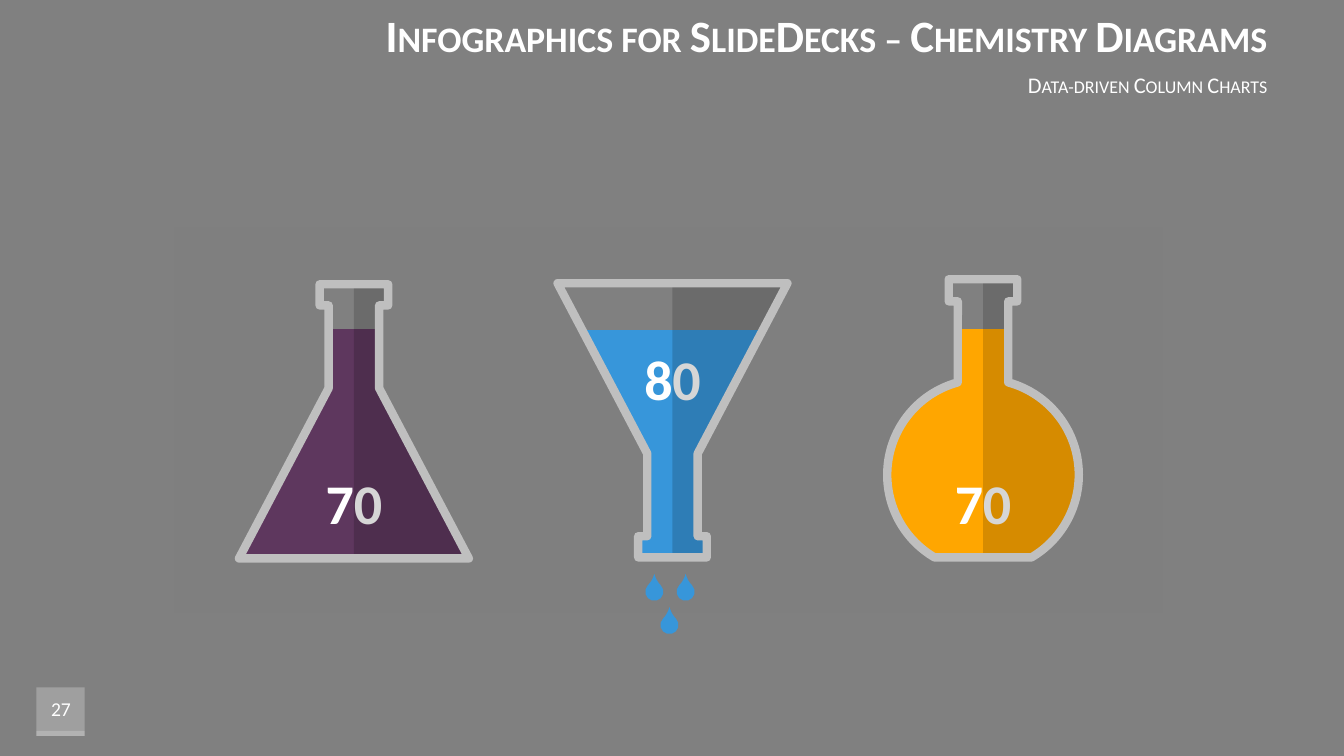
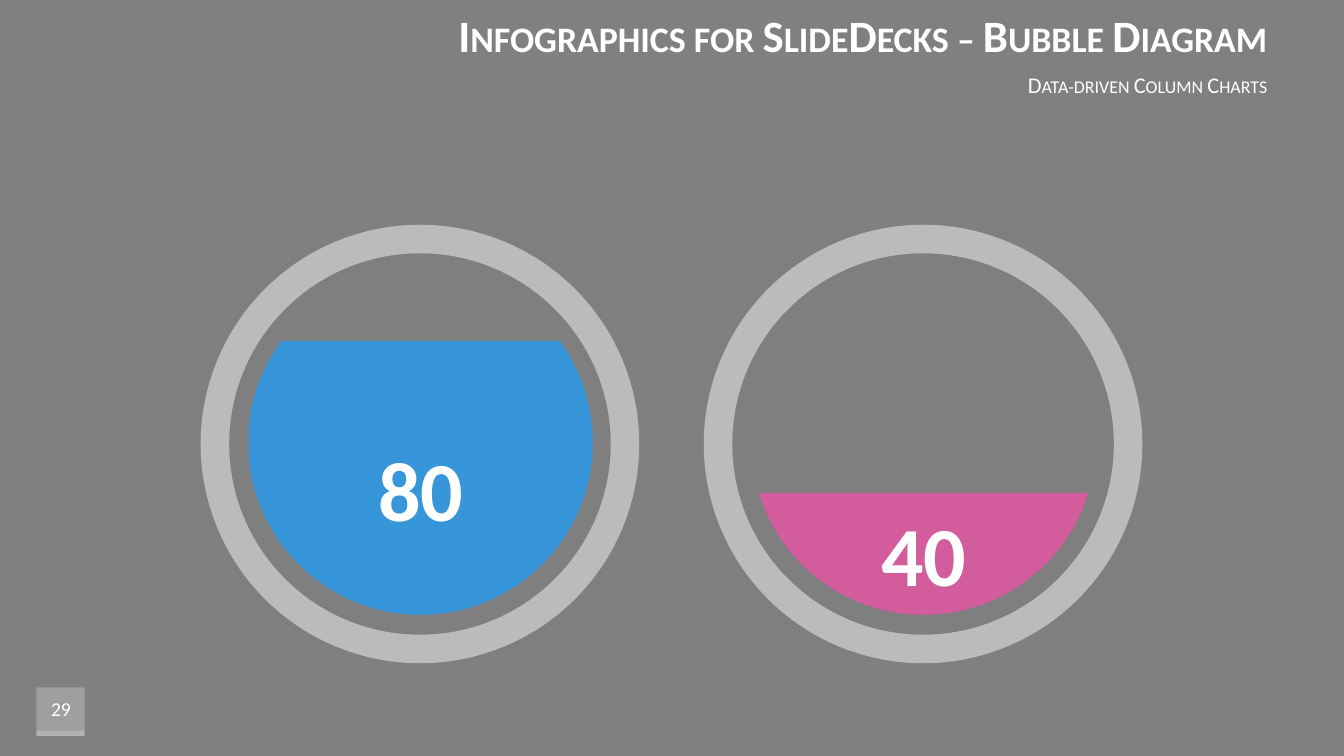
import math

import lxml.etree
import pptx
import pptx.chart.data
import pptx.dml.color
import pptx.enum.chart
import pptx.enum.shapes
import pptx.enum.text
import pptx.oxml.ns
import pptx.util

Inches = pptx.util.Inches
Pt = pptx.util.Pt
RGBColor = pptx.dml.color.RGBColor
Kind = pptx.enum.chart.XL_CHART_TYPE
Shape = pptx.enum.shapes.MSO_SHAPE
Align = pptx.enum.text.PP_ALIGN
qn = pptx.oxml.ns.qn

GREY = RGBColor(0x80, 0x80, 0x80)
MASK = RGBColor(0x7F, 0x7F, 0x7F)
GLASS = RGBColor(0xBF, 0xBF, 0xBF)
RING = RGBColor(0xBB, 0xBB, 0xBB)
WHITE = RGBColor(0xFF, 0xFF, 0xFF)
BLACK = RGBColor(0, 0, 0)
PLUM = RGBColor(0x5E, 0x37, 0x5E)
BLUE = RGBColor(0x37, 0x96, 0xDA)
AMBER = RGBColor(0xFF, 0xA6, 0x00)
PINK = RGBColor(0xD2, 0x5C, 0x9C)
FONT = "Calibri"


def box(left, top, width, height):
    return [Inches(v) for v in (left, top, width, height)]


def rect(left, top, width, height):
    right, low = left + width, top + height
    return [(left, top), (right, top), (right, low), (left, low)]


def arc(radius, mid, *turns):
    def spot(turn, reach):
        x = math.sin(turn) + reach * math.cos(turn)
        y = math.cos(turn) - reach * math.sin(turn)
        return radius * x, mid - radius * y

    turns = [math.radians(turn) for turn in turns]
    steps = [spot(turns[0], 0)]
    for start, end in zip(turns, turns[1:]):
        reach = 4 / 3 * math.tan((end - start) / 4)
        steps.append(spot(start, reach) + spot(end, -reach) + spot(end, 0))
    return steps


def place(mid, side, sign=1):
    return [tuple(v if i % 2 else mid + sign * v for i, v in enumerate(step))
            for step in side]


def flip(side):
    steps = [side[-1][-2:]]
    for step, prior in zip(side[::-1], side[-2::-1]):
        bend = step[:-2]
        steps.append(bend[2:] + bend[:2] + prior[-2:])
    return steps


class Deck:
    def __init__(self):
        self.prs = pptx.Presentation()
        self.prs.slide_width = Inches(13.33)
        self.prs.slide_height = Inches(7.5)
        back = self.prs.slide_master.background.fill
        back.solid()
        back.fore_color.rgb = GREY
        self.slide = None

    def page(self, title, number):
        self.slide = self.prs.slides.add_slide(self.prs.slide_layouts[0])
        for top, height, alpha in ((6.82, 0.48, 25), (7.25, 0.05, 20)):
            self.shape(Shape.RECTANGLE, box(0.36, top, 0.48, height), WHITE, alpha)
        head, sub = self.slide.placeholders
        self.text(head, box(2.26, 0, 10.41, 0.68), title, 32, Align.RIGHT, True, "small")
        self.text(sub, box(2.26, 0.68, 10.41, 0.31), "Data-driven Column Charts", 16,
                  Align.RIGHT, False, "small")
        spot = box(0.29, 6.82, 0.63, 0.43)
        self.text(self.slide.shapes.add_textbox(*spot), spot, str(number), 14, Align.CENTER)

    def text(self, item, spot, words, size, align, bold=False, caps="none"):
        item.left, item.top, item.width, item.height = spot
        frame = item.text_frame
        frame.text = words
        frame.word_wrap = True
        frame.auto_size = pptx.enum.text.MSO_AUTO_SIZE.NONE
        frame.vertical_anchor = pptx.enum.text.MSO_ANCHOR.MIDDLE
        line = frame.paragraphs[0]
        line.alignment = align
        line.space_before = Pt(0)
        run = line.runs[0]
        self.font(run.font, size, WHITE, bold)
        run.font._element.set("cap", caps)

    def font(self, font, size, color, bold=False):
        font.name = FONT
        font.size = Pt(size)
        font.bold = bold
        font.color.rgb = color

    def paint(self, item, fill=None, alpha=100, line=None):
        item.shadow.inherit = False
        if fill is None:
            item.fill.background()
        else:
            item.fill.solid()
            item.fill.fore_color.rgb = fill
            if alpha < 100:
                color = item._element.spPr.find(".//" + qn("a:srgbClr"))
                lxml.etree.SubElement(color, qn("a:alpha"), val=str(alpha * 1000))
        if line is None:
            item.line.fill.background()
        else:
            item.line.color.rgb = line
            item.line.width = Pt(6)
            lxml.etree.SubElement(item._element.spPr.find(qn("a:ln")), qn("a:round"))

    def shape(self, kind, spot, fill, alpha=100):
        item = self.slide.shapes.add_shape(kind, *spot)
        self.paint(item, fill, alpha)
        return item

    def form(self, loops, **style):
        loops = [[[Inches(v) for v in step] for step in loop] for loop in loops]
        pen = self.slide.shapes.build_freeform(*loops[0][0])
        for loop in loops:
            if loop is not loops[0]:
                pen.move_to(*loop[0])
            pen.add_line_segments([step[-2:] for step in loop[1:]])
        item = pen.convert_to_shape()
        self.bend(item, [step for loop in loops for step in loop[1:]])
        self.paint(item, **style)

    def bend(self, item, steps):
        lines = list(item._element.iter(qn("a:lnTo")))
        for line, step in zip(lines, steps):
            if len(step) == 6:
                curve = lxml.etree.Element(qn("a:cubicBezTo"))
                for x, y in zip(step[::2], step[1::2]):
                    lxml.etree.SubElement(curve, qn("a:pt"), x=str(x - item.left),
                                          y=str(y - item.top))
                line.getparent().replace(line, curve)

    def chart(self, kind, spot, value, color, size, shift):
        data = pptx.chart.data.CategoryChartData()
        data.categories = ["1"]
        data.add_series("Series 1", [value])
        data.add_series("Series 2", [100 - value])
        chart = self.slide.shapes.add_chart(kind, *spot, data).chart
        chart.has_legend = False
        chart.has_title = False
        self.font(chart.font, 10, BLACK)
        chart.category_axis.visible = False
        axis = chart.value_axis
        axis.visible = False
        axis.has_major_gridlines = False
        axis.minimum_scale = 0
        if kind == Kind.COLUMN_STACKED:
            axis.maximum_scale = 100
        plot = chart.plots[0]
        plot.gap_width = 150
        plot.overlap = 100
        plot.vary_by_categories = False
        full, rest = plot.series
        full.invert_if_negative = False
        full.format.fill.solid()
        full.format.fill.fore_color.rgb = color
        rest.format.fill.background()
        labels = full.data_labels
        labels.show_value = True
        self.font(labels.font, size, WHITE, True)
        if shift:
            self.font(full.points[0].data_label.font, size, WHITE, True)
            self.shift(full, shift)
        self.clear(chart)

    def shift(self, series, amount):
        for leader in series._element.iter(qn("c:showLeaderLines")):
            leader.set("val", "0")
        mark = series._element.find(".//" + qn("c:dLbl"))
        layout = lxml.etree.Element(qn("c:layout"))
        manual = lxml.etree.SubElement(layout, qn("c:manualLayout"))
        for axis, value in (("x", 0), ("y", amount)):
            lxml.etree.SubElement(manual, qn("c:" + axis), val=str(value))
        mark.find(qn("c:idx")).addnext(layout)

    def clear(self, chart):
        body = chart._chartSpace.find(qn("c:chart"))
        for add in (body.addnext, body.find(qn("c:plotArea")).append):
            props = lxml.etree.Element(qn("c:spPr"))
            lxml.etree.SubElement(props, qn("a:noFill"))
            line = lxml.etree.SubElement(props, qn("a:ln"))
            lxml.etree.SubElement(line, qn("a:noFill"))
            add(props)

    def vessel(self, mid, side, value, color, top, height, shift):
        self.chart(Kind.COLUMN_STACKED_100, box(mid - 3.14, top, 6.28, height),
                   value, color, 40, shift)
        right = place(mid, side)
        whole = right + place(mid, flip(side), -1)
        self.form([whole, rect(mid - 1.78, 2.26, 3.56, 3.82)], fill=MASK)
        self.form([[(mid, side[0][-1])] + right + [(mid, side[-1][-1])]],
                  fill=BLACK, alpha=16)
        self.form([whole], line=GLASS)

    def drop(self, mid, top):
        item = self.shape(Shape.TEAR, box(mid - 0.09, top + 0.09, 0.18, 0.18), BLUE)
        item.adjustments[0] = 1.4
        item.rotation = 315

    def bubble(self, mid, value, color, shift):
        self.chart(Kind.COLUMN_STACKED, box(mid - 4.44, 2.55, 8.89, 3.93),
                   value, color, 60, shift)
        hole = place(mid, arc(1.71, 4.39, 0, 90, 180, 270, 360))
        self.form([hole, rect(mid - 2.1, 2.29, 4.19, 4.19)], fill=MASK)
        ring = self.shape(Shape.DONUT, box(mid - 2.18, 2.23, 4.35, 4.35), RING)
        ring.adjustments[0] = 0.065


def main():
    deck = Deck()
    deck.page("Infographics for SlideDecks – Chemistry Diagrams", 27)
    cone = [(0.34, 2.82), (0.34, 3.03), (0.25, 3.03), (0.25, 3.85), (1.14, 5.54)]
    funnel = [(x, 8.35 - y) for x, y in reversed(cone)]
    globe = [(0.34, 2.77), (0.34, 2.99), (0.25, 2.99)] + arc(0.95, 4.71, 15.3, 90, 149.7)
    deck.vessel(6.67, funnel, 80, BLUE, 2.61, 3.13, -0.22)
    deck.vessel(3.51, cone, 70, PLUM, 2.18, 3.53, 0.16)
    deck.vessel(9.75, globe, 70, AMBER, 2.18, 3.53, 0.16)
    for mid, top in ((6.49, 5.69), (6.8, 5.69), (6.64, 6.02)):
        deck.drop(mid, top)

    deck.page("Infographics for SlideDecks – Bubble Diagram", 29)
    deck.bubble(4.17, 80, BLUE, 0)
    deck.bubble(9.16, 40, PINK, -0.03)
    deck.prs.save("out.pptx")


if __name__ == "__main__":
    main()
